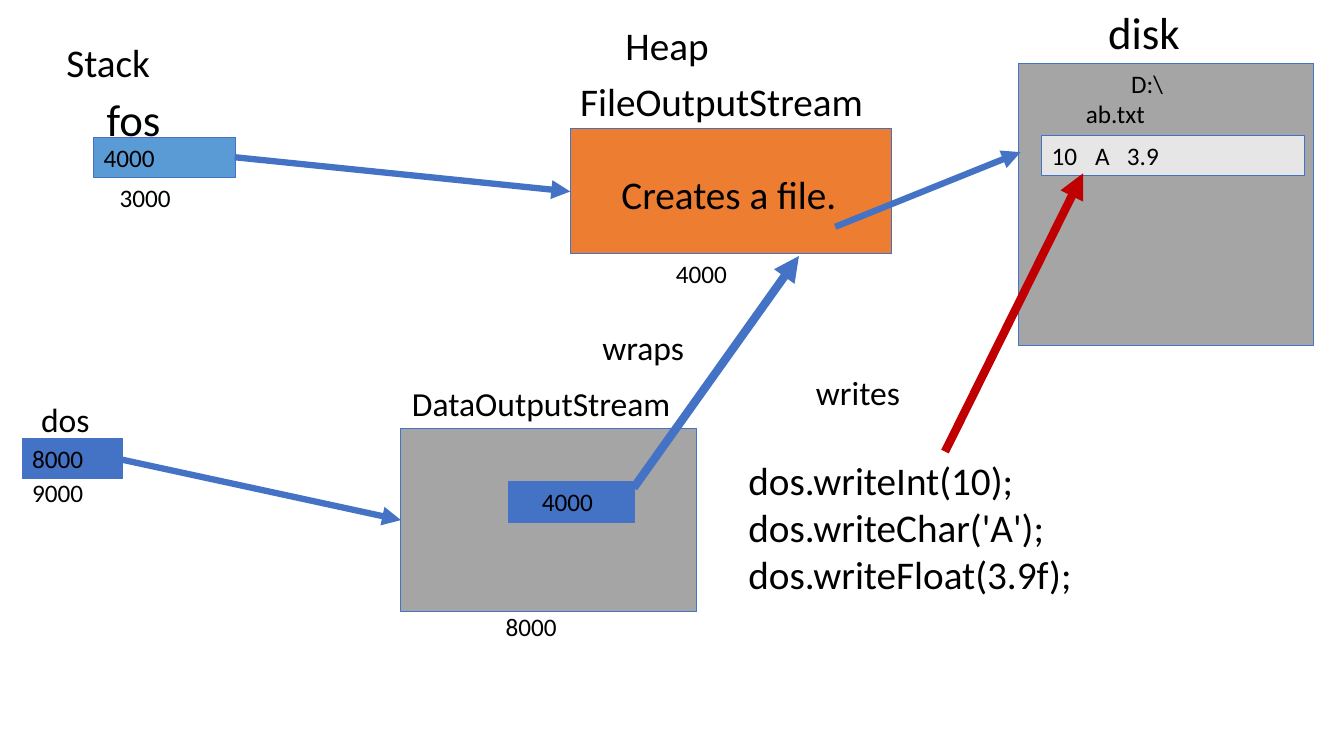
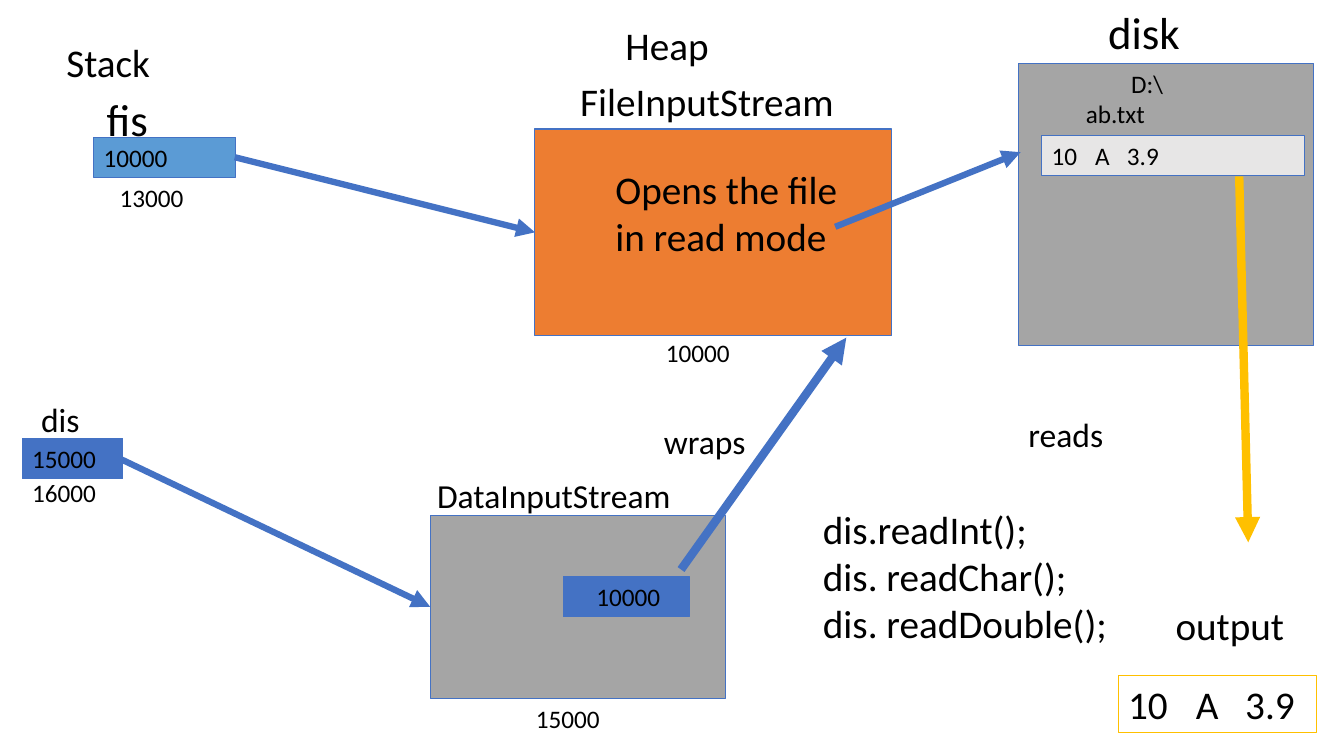
"""Build two slides on writing and reading a file through data streams."""
from lxml import etree
from pptx import Presentation
from pptx.dml.color import RGBColor
from pptx.enum import shapes, text
from pptx.oxml import ns
from pptx.util import Inches, Pt

BLACK = RGBColor(0x00, 0x00, 0x00)
BLUE = RGBColor(0x44, 0x72, 0xC4)
SKY = RGBColor(0x5B, 0x9B, 0xD5)
ORANGE = RGBColor(0xED, 0x7D, 0x31)
GRAY = RGBColor(0xA5, 0xA5, 0xA5)
PALE = RGBColor(0xE7, 0xE6, 0xE6)
RED = RGBColor(0xC0, 0x00, 0x00)
GOLD = RGBColor(0xFF, 0xC0, 0x00)
FONT = "Calibri"
ROW = 0.4
DATA = "10\tA\t3.9"
STOPS = (0.024, 0.0415)


def box(slide, x, y, w, h, words="", size=18, fill=None, line=None, leads=(0,)):
    area = Inches(x), Inches(y), Inches(w), Inches(h)
    if fill or line:
        item = slide.shapes.add_shape(shapes.MSO_SHAPE.RECTANGLE, *area)
        item.shadow.inherit = False
        item.line.color.rgb = line or BLUE
        item.line.width = Pt(0.75)
        if fill:
            item.fill.solid()
            item.fill.fore_color.rgb = fill
        else:
            item.fill.background()
    else:
        item = slide.shapes.add_textbox(*area)
    if not words:
        return
    frame = item.text_frame
    frame.word_wrap = True
    frame.vertical_anchor = text.MSO_ANCHOR.TOP
    frame.text = words
    for i, para in enumerate(frame.paragraphs):
        para.alignment = text.PP_ALIGN.LEFT
        props = para._p.get_or_add_pPr()
        props.set("marL", str(Inches(leads[i % len(leads)])))
        if "\t" in para.text:
            tabs = etree.SubElement(props, ns.qn("a:tabLst"))
            for stop in STOPS:
                etree.SubElement(tabs, ns.qn("a:tab"), pos=str(Inches(stop * size)), algn="l")
        for run in para.runs:
            run.font.name = FONT
            run.font.size = Pt(size)
            run.font.color.rgb = BLACK


def arrow(slide, x1, y1, x2, y2, width=4.5, color=BLUE):
    item = slide.shapes.add_connector(
        shapes.MSO_CONNECTOR.STRAIGHT, Inches(x1), Inches(y1), Inches(x2), Inches(y2))
    item.line.color.rgb = color
    item.line.width = Pt(width)
    etree.SubElement(item.line._get_or_add_ln(), ns.qn("a:tailEnd"), type="triangle")
    etree.SubElement(item._element.spPr, ns.qn("a:effectLst"))


deck = Presentation()
deck.slide_width = Inches(13.34)
deck.slide_height = Inches(7.5)

flows = [
    dict(
        file=("fos", "3000", "4000", "FileOutputStream"),
        data=("dos", "9000", "8000", "DataOutputStream"),
        heap=(5.66, 1.28, 3.19, 1.24), note=(6.07, 1.64, 2.38, 1.17, "Creates a file."),
        wrap=(3.98, 4.25, 2.93, 1.82), inner=(5.05, 4.78),
        name=(3.99, 3.75), mark=(6.61, 2.51), foot=(4.92, 6.02),
        verb=(5.88, 3.19), link=(6.29, 4.84, 7.93, 2.54),
        calls=(7.33, 4.48, 4.1, 1.5, "dos.writeInt(10);\ndos.writeChar('A');\ndos.writeFloat(3.9f);"),
        act=(8, 3.64, 1.22, 0.5, "writes"), move=(9.38, 4.48, 10.75, 1.72, 6, RED),
    ),
    dict(
        file=("fis", "13000", "10000", "FileInputStream"),
        data=("dis", "16000", "15000", "DataInputStream"),
        heap=(5.31, 1.28, 3.54, 2.05), note=(6.01, 1.59, 2.64, 1.64, "Opens the file in read mode"),
        wrap=(4.27, 5.11, 2.93, 1.82), inner=(5.59, 5.72),
        name=(4.24, 4.66), mark=(6.51, 3.3), foot=(5.22, 6.93),
        verb=(6.49, 4.13), link=(6.76, 5.65, 8.4, 3.35),
        calls=(8.07, 4.96, 3.03, 1.5, "dis.readInt();\ndis. readChar();\ndis. readDouble();"),
        act=(10.11, 4.06, 1.22, 0.5, "reads"), move=(12.3, 1.75, 12.39, 5.38, 6, GOLD),
    ),
]

for flow in flows:
    slide = deck.slides.add_slide(deck.slide_layouts[6])

    box(slide, 10.11, 0.63, 2.93, 2.8, "D:\\\nab.txt", fill=GRAY, leads=(1.02, 0.57))
    box(slide, 10.9, 0, 1.64, 0.64, "disk", 32)
    box(slide, 10.34, 1.34, 2.61, ROW, DATA, fill=PALE)
    box(slide, 6.11, 0.16, 1.49, 0.57, "Heap", 28)
    box(slide, 0.56, 0.33, 1.24, 0.57, "Stack", 28)

    var, addr, ref, kind = flow["file"]
    left, top, wide, high = flow["heap"]
    box(slide, *flow["heap"], fill=ORANGE)
    box(slide, 5.66, 0.72, 3.27, 0.57, kind, 28)
    box(slide, 0.96, 0.86, 0.98, 0.64, var, 32)
    box(slide, 0.93, 1.36, 1.41, ROW, ref, fill=SKY)
    box(slide, 1.09, 1.76, 1.03, ROW, addr)
    box(slide, *flow["note"], 28)
    box(slide, *flow["mark"], 1.18, ROW, ref)
    arrow(slide, 8.29, 2.25, 10.13, 1.51)
    arrow(slide, 2.33, 1.56, left, top + high / 2)

    var, addr, base, kind = flow["data"]
    left, top, wide, high = flow["wrap"]
    box(slide, *flow["wrap"], fill=GRAY)
    box(slide, *flow["name"], 3.03, 0.5, kind, 24)
    box(slide, *flow["foot"], 1.02, ROW, base)
    box(slide, *flow["inner"], 1.25, ROW, ref, fill=BLUE, leads=(0.23,))
    box(slide, 0.31, 3.91, 0.74, 0.5, var, 24)
    box(slide, 0.22, 4.35, 1, ROW, base, fill=BLUE)
    box(slide, 0.22, 4.69, 0.87, ROW, addr)
    arrow(slide, 1.21, 4.56, left, top + high / 2)

    box(slide, *flow["calls"], 28)
    box(slide, *flow["act"], 24)
    box(slide, *flow["verb"], 1.18, 0.5, "wraps", 24)
    arrow(slide, *flow["link"], 6)
    arrow(slide, *flow["move"])

box(slide, 11.57, 5.92, 1.47, 0.57, "output", 28)
box(slide, 11.1, 6.7, 1.97, 0.57, DATA, 28, line=GOLD)

deck.save("out.pptx")
